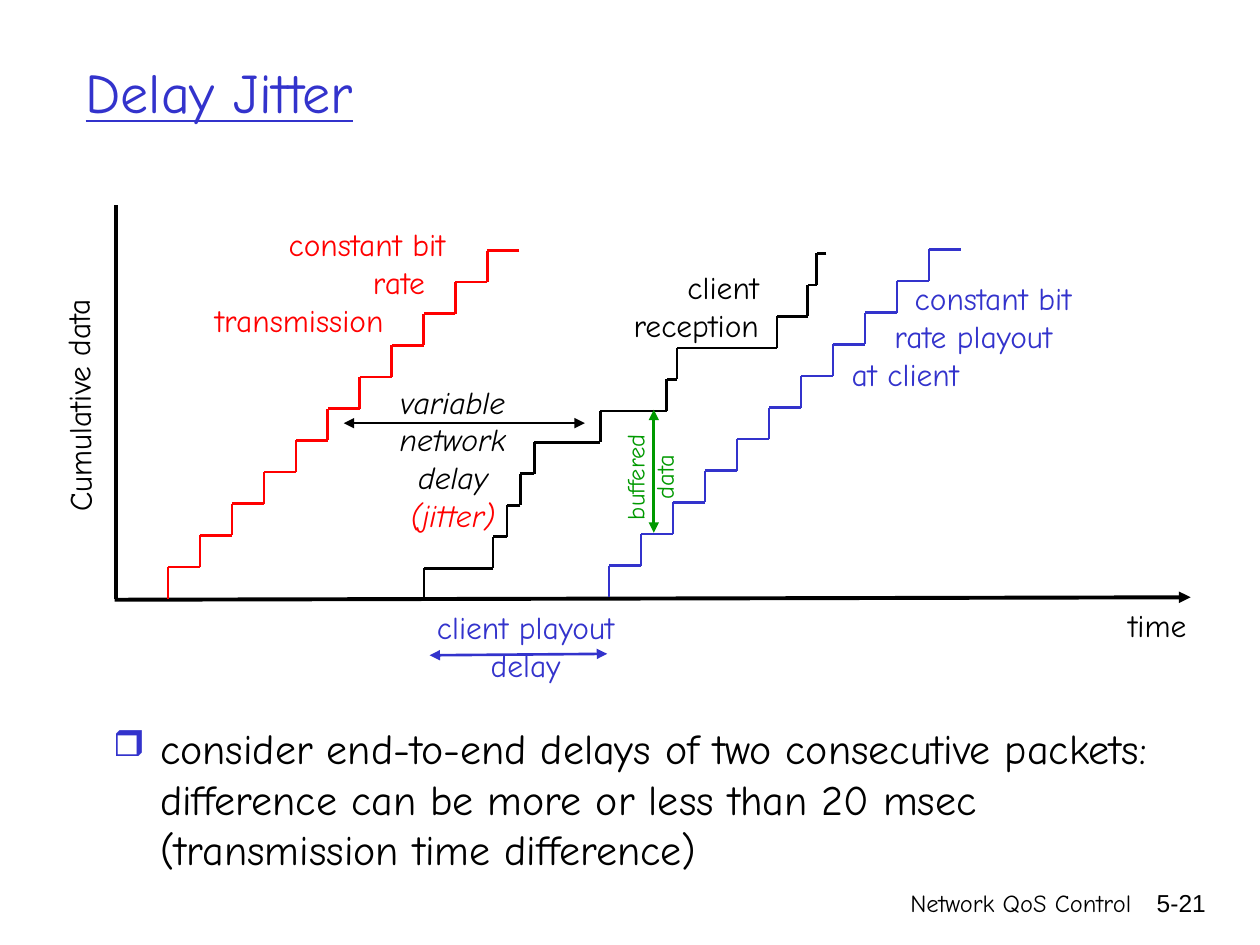
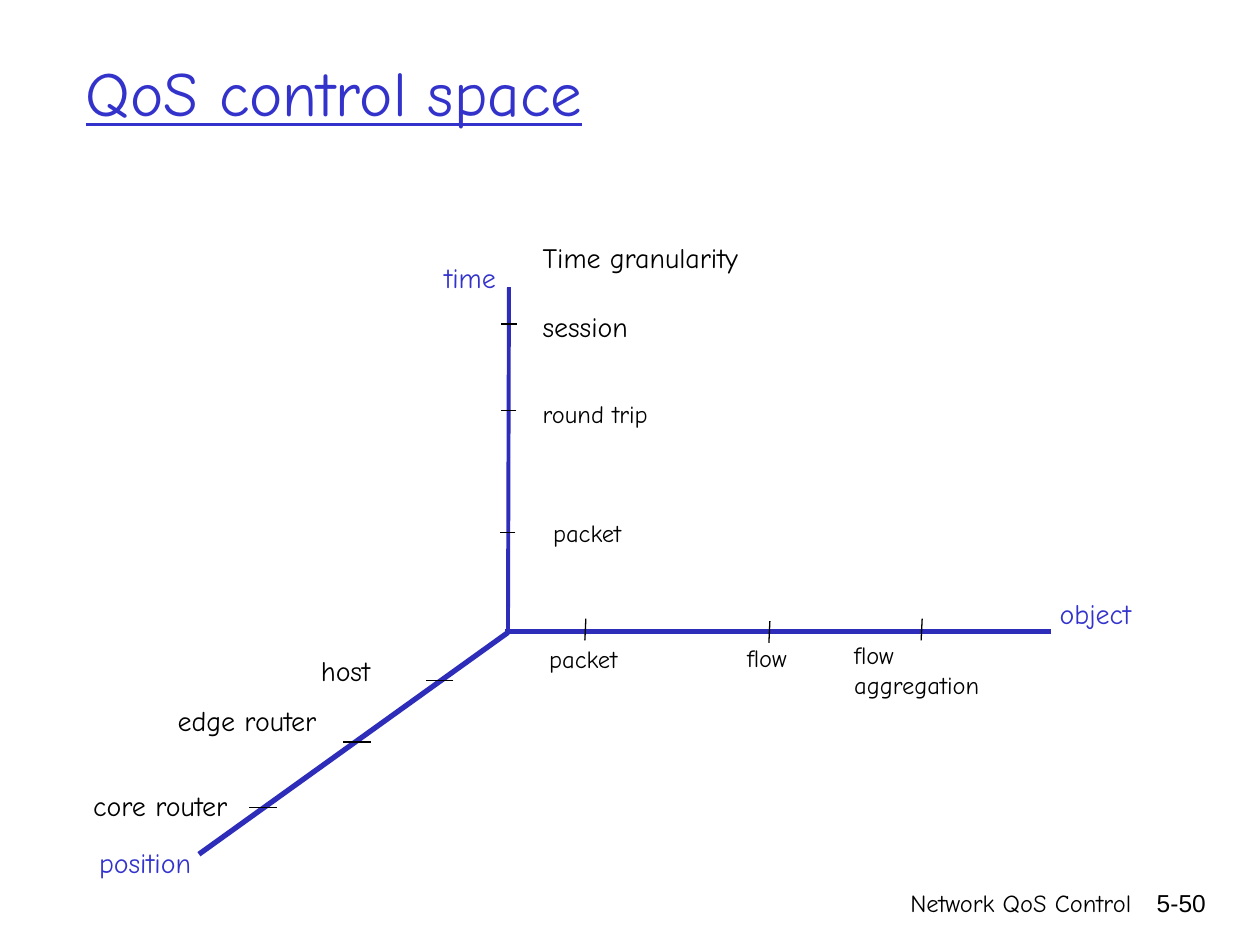
import pptx
import pptx.dml.color
import pptx.enum.shapes
import pptx.enum.text
import pptx.oxml.ns
import pptx.util
import lxml.etree

Cm = pptx.util.Cm
Pt = pptx.util.Pt
ALIGN = pptx.enum.text.PP_ALIGN
BLUE, NAVY, RED, GREEN, BLACK = "3333CC", "2D2DB9", "FF0000", "009900", "000000"


def tint(code):
    return pptx.dml.color.RGBColor.from_string(code)


def add_tag(parent, name, **attrs):
    return lxml.etree.SubElement(parent, pptx.oxml.ns.qn(name), attrs)


def write(frame, text, size=18, color=BLACK, font="Comic Neue", align="LEFT",
          bold=False, slant=False, under=False, indents=(), tints=(), mark=None):
    frame.word_wrap = True
    frame.auto_size = pptx.enum.text.MSO_AUTO_SIZE.NONE
    for index, line in enumerate(text.split("\n")):
        para = frame.paragraphs[0] if index == 0 else frame.add_paragraph()
        para.alignment = getattr(ALIGN, align)
        props = para._p.get_or_add_pPr()
        if index < len(indents):
            props.set("marL", str(Cm(indents[index])))
        if mark:
            props.set("marL", str(Cm(0.95)))
            props.set("indent", str(Cm(-0.95)))
            add_tag(add_tag(props, "a:buClr"), "a:srgbClr", val=BLUE)
            add_tag(props, "a:buSzPct", val="85000")
            add_tag(props, "a:buChar", char=mark)
        run = para.add_run()
        run.text = line
        run.font.name = font
        run.font.size = Pt(size)
        run.font.bold = bold
        run.font.italic = slant
        run.font.underline = under
        run.font.color.rgb = tint(tints[index] if index < len(tints) else color)


class Deck:
    """Hold the shared style and the slide being drawn."""

    def __init__(self):
        self.show = pptx.Presentation()
        self.show.slide_width = Cm(25.4)
        self.show.slide_height = Cm(19.05)
        self.slide = None

    def start(self, title, size, number):
        self.slide = self.show.slides.add_slide(self.show.slide_layouts[5])
        head = self.slide.shapes.title
        head.left, head.top, head.width, head.height = Cm(1.47), Cm(0.64), Cm(22), Cm(2.41)
        head.text_frame.vertical_anchor = pptx.enum.text.MSO_ANCHOR.MIDDLE
        write(head.text_frame, title, size=size, color=BLUE, under=True)
        self.text("Network QoS Control", 12.34, 17.78, 10.72, 1.27, size=14, align="RIGHT")
        self.text(number, 22.68, 17.78, 1.88, 1.27, size=14, font="Arial", align="RIGHT")

    def text(self, text, left, top, width, height, turn=0, **style):
        box = self.slide.shapes.add_textbox(Cm(left), Cm(top), Cm(width), Cm(height))
        box.rotation = turn
        write(box.text_frame, text, **style)

    def line(self, start, end, color=BLACK, width=1.5, head=False, tail=False):
        line = self.slide.shapes.add_connector(
            pptx.enum.shapes.MSO_CONNECTOR.STRAIGHT, *map(Cm, start + end))
        line.line.color.rgb = tint(color)
        line.line.width = Pt(width)
        props = line.element.spPr
        for name, wanted in (("a:headEnd", head), ("a:tailEnd", tail)):
            if wanted:
                add_tag(props.get_or_add_ln(), name, type="triangle")
        add_tag(props, "a:effectLst")

    def stairs(self, edges, foot, top, color):
        rise = (foot - top) / (len(edges) - 1)
        for step, (left, right) in enumerate(zip(edges, edges[1:])):
            low = foot - step * rise
            high = low - rise
            self.line((left, high), (left, low), color)
            self.line((right, high), (left, high), color)

    def tick(self, x, y, dx, dy):
        self.line((x + dx, y - dy), (x - dx, y + dy), width=0.75)


def spread(first, last, count):
    return [first + (last - first) * i / count for i in range(count + 1)]


def draw_jitter(deck):
    deck.start("Delay Jitter", 32, "5-21")
    deck.line((2.34, 4.14), (2.34, 12.07), width=2.25)
    deck.line((24, 12.04), (2.31, 12.09), width=2.25, head=True)
    deck.text("Cumulative data", -1.14, 7.34, 5.44, 1.02, turn=269.4)
    deck.text("time", 22.5, 12.09, 1.83, 1.02)

    deck.stairs(spread(3.39, 10.47, 11), 12.07, 5.05, RED)
    deck.text("constant bit\nrate\ntransmission", 4.09, 4.42, 5.64, 2.54,
              color=RED, indents=(1.48, 3.18, 0))

    arrivals = [8.55, 9.94, 10.22, 10.49, 10.77, 12.1, 13.44, 13.65,
                15.66, 16.28, 16.46, 16.66]
    deck.stairs(arrivals, 12.09, 5.11, BLACK)
    deck.text("variable\nnetwork\ndelay\n(jitter)", 7.67, 7.59, 2.92, 3.3, align="CENTER",
              slant=True, tints=(BLACK, BLACK, BLACK, RED))
    deck.line((6.93, 8.53), (11.79, 8.53), head=True, tail=True)
    deck.text("client\nreception", 12.22, 5.28, 3.33, 1.78, align="RIGHT")

    deck.stairs(spread(12.28, 19.37, 11), 12.04, 5.03, BLUE)
    deck.text("constant bit\nrate playout\nat client", 16.71, 5.51, 5.64, 2.54,
              color=BLUE, indents=(1.48, 1.07, 0.21))
    deck.text("client playout\ndelay", 8.26, 12.14, 4.67, 1.78, color=BLUE, align="CENTER")
    deck.line((8.66, 13.21), (12.24, 13.18), BLUE, head=True, tail=True)

    deck.line((13.18, 10.74), (13.18, 8.26), GREEN, head=True, tail=True)
    deck.text("buffered\ndata", 11.79, 8.89, 2.62, 1.45, turn=270,
              size=14, color=GREEN, align="CENTER")
    deck.text("consider end-to-end delays of two consecutive packets: difference can be "
              "more or less than 20 msec (transmission time difference)",
              2.03, 14.45, 21.59, 2.46, size=24, mark="❒")


def draw_space(deck):
    deck.start("QoS control space", 36, "5-50")
    deck.line((10.26, 5.79), (10.24, 12.75), NAVY, 2.25)
    deck.line((10.19, 12.73), (21.18, 12.73), NAVY, 3)
    deck.line((10.24, 12.75), (4.01, 17.22), NAVY, 3)

    for x, y in ((10.26, 6.53), (10.25, 8.28), (10.23, 10.74)):
        deck.tick(x, y, 0.16, 0)
    for x, y in ((8.86, 13.72), (7.19, 14.96), (5.3, 16.28)):
        deck.tick(x, y, 0.28, 0)
    for x, y in ((11.8, 12.69), (15.51, 12.74), (18.58, 12.69)):
        deck.tick(x, y, 0.01, 0.22)

    labels = (
        ("time", 8.71, 5.13, 1.68, 16, BLUE),
        ("object", 21.11, 11.91, 2.24, 16, BLUE),
        ("position", 1.75, 16.92, 2.57, 16, BLUE),
        ("Time granularity", 10.69, 4.72, 4.85, 16, BLACK),
        ("session", 10.69, 6.12, 2.39, 16, BLACK),
        ("round trip", 10.69, 7.92, 2.87, 14, BLACK),
        ("packet", 10.9, 10.31, 2.06, 14, BLACK),
        ("packet", 10.82, 12.85, 2.06, 14, BLACK),
        ("flow", 14.81, 12.83, 1.5, 14, BLACK),
        ("flow\naggregation", 16.97, 12.78, 3.2, 14, BLACK),
        ("host", 6.22, 13.06, 1.68, 16, BLACK),
        ("edge router", 3.33, 14.05, 3.6, 16, BLACK),
        ("core router", 1.63, 15.77, 3.56, 16, BLACK),
    )
    for text, left, top, width, size, color in labels:
        height = 0.9 * len(text.split("\n"))
        deck.text(text, left, top, width, height, size=size, color=color)


def main():
    deck = Deck()
    draw_jitter(deck)
    draw_space(deck)
    deck.show.save("out.pptx")


if __name__ == "__main__":
    main()
